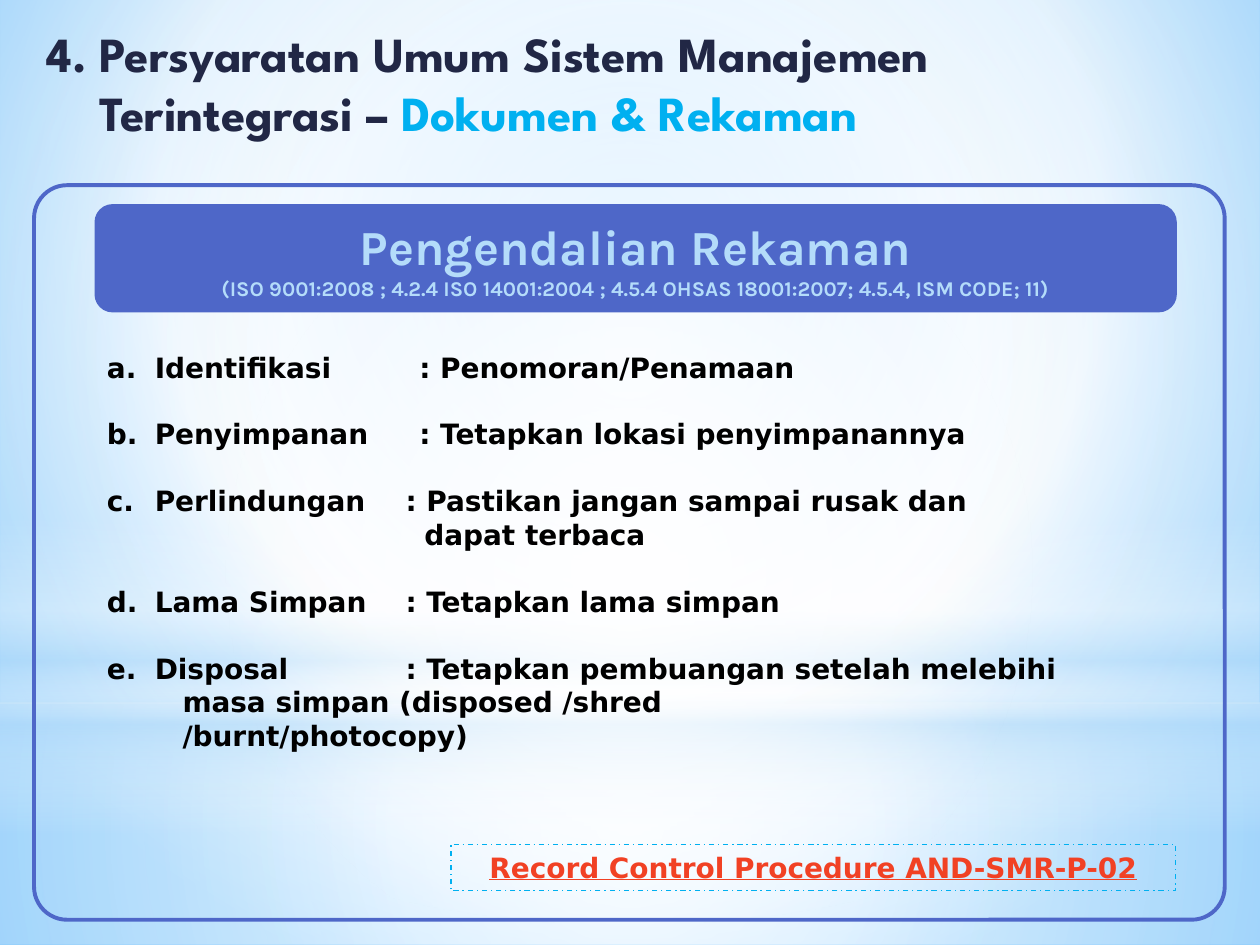
from lxml import etree
from pptx import Presentation
from pptx.dml.color import RGBColor
from pptx.enum.dml import MSO_LINE
from pptx.enum.shapes import MSO_SHAPE
from pptx.enum.text import MSO_ANCHOR, MSO_AUTO_SIZE, PP_ALIGN
from pptx.oxml.ns import qn
from pptx.util import Inches, Pt

RECT, OVAL, ROUNDED = MSO_SHAPE.RECTANGLE, MSO_SHAPE.OVAL, MSO_SHAPE.ROUNDED_RECTANGLE
CENTER, LEFT = PP_ALIGN.CENTER, PP_ALIGN.LEFT
TOP, MIDDLE = MSO_ANCHOR.TOP, MSO_ANCHOR.MIDDLE
DASH_DOT, NO_AUTOFIT = MSO_LINE.DASH_DOT, MSO_AUTO_SIZE.NONE
INDIGO, SKY, CYAN = "4E67C8", "B4DCFA", "00B0F0"
color = RGBColor.from_string


def set_gradient(owner, fill, stops, focus=None):
    """Stops are (position, colour, opacity) in percent; no focus means top to bottom."""
    fill.gradient()
    gradient = owner.element.find(".//" + qn("a:gradFill"))
    for child in list(gradient):
        gradient.remove(child)
    stop_list = etree.SubElement(gradient, qn("a:gsLst"))
    for position, hex_color, opacity in stops:
        stop = etree.SubElement(stop_list, qn("a:gs"), pos=str(position * 1000))
        tint = etree.SubElement(stop, qn("a:srgbClr"), val=hex_color)
        etree.SubElement(tint, qn("a:alpha"), val=str(opacity * 1000))
    if focus:
        circle = etree.SubElement(gradient, qn("a:path"), path="circle")
        sides = {side: str(part * 1000) for side, part in zip("ltrb", focus)}
        etree.SubElement(circle, qn("a:fillToRect"), **sides)
    else:
        etree.SubElement(gradient, qn("a:lin"), ang="5400000", scaled="0")


def style(target, font_name, size, hex_color):
    target.font.name = font_name
    target.font.size = Pt(size)
    target.font.bold = True
    target.font.color.rgb = color(hex_color)


deck = Presentation()
deck.slide_width, deck.slide_height = Inches(10), Inches(7.5)
slide = deck.slides.add_slide(deck.slide_layouts[5])
shapes = slide.shapes

# Backdrop
set_gradient(slide, slide.background.fill,
             [(0, "9ED5FF", 100), (60, "FFFFFF", 100), (100, "5BB9FF", 100)],
             (20, 10, 20, 60))
middle = (50, 50, 50, 50)
glows = [
    (RECT, 5.58, 1.92, middle, [(0, "FFFFFF", 91), (37, "FFFFFF", 76), (100, SKY, 79)]),
    (RECT, 0, 5.58, middle, [(0, "FFFFFF", 89), (48, "FFFFFF", 62), (100, SKY, 79)]),
    (RECT, 4.12, 2.5, None, [(0, "FFFFFF", 0), (29, "FFFFFF", 30), (45, SKY, 40),
                             (55, "FFFFFF", 26), (65, SKY, 60), (100, "FFFFFF", 0)]),
    (OVAL, 1.75, 5.58, middle, [(0, "FFFFFF", 100), (56, "FFFFFF", 0)]),
]
for kind, top, height, focus, stops in glows:
    glow = shapes.add_shape(kind, 0, Inches(top), Inches(10), Inches(height))
    glow.shadow.inherit = False
    glow.line.fill.background()
    set_gradient(glow, glow.fill, stops, focus)

# Title, brought in front of the backdrop
title = shapes.title
title.element.getparent().append(title.element)
title.left, title.top = Inches(0.27), Inches(0.14)
title.width, title.height = Inches(8.09), Inches(1.14)
frame = title.text_frame
frame.auto_size, frame.vertical_anchor, frame.word_wrap = NO_AUTOFIT, TOP, False
title_lines = [
    (-0.42, [("4.\tPersyaratan Umum Sistem Manajemen", "212745")]),
    (0, [("Terintegrasi – ", "212745"), ("Dokumen & Rekaman", CYAN)]),
]
for index, (indent, spans) in enumerate(title_lines):
    para = frame.add_paragraph() if index else frame.paragraphs[0]
    para.alignment = LEFT
    properties = para._p.get_or_add_pPr()
    properties.set("marL", str(Inches(0.42)))
    properties.set("indent", str(Inches(indent)))
    for text, hex_color in spans:
        span = para.add_run()
        span.text = text
        style(span, "League Spartan", 28, hex_color)

# Frame, banner and procedure reference
border = shapes.add_shape(ROUNDED, Inches(0.27), Inches(1.47), Inches(9.45), Inches(5.83))
border.adjustments[0] = 0.045
border.shadow.inherit = False
border.fill.background()
border.line.color.rgb = color(INDIGO)
border.line.width = Pt(2.25)

banner = shapes.add_shape(ROUNDED, Inches(0.75), Inches(1.62), Inches(8.59), Inches(0.86))
banner.shadow.inherit = False
banner.fill.solid()
banner.fill.fore_color.rgb = color(INDIGO)
banner.line.fill.background()
frame = banner.text_frame
frame.word_wrap, frame.vertical_anchor = False, MIDDLE
frame.text = ("Pengendalian Rekaman\n"
              "(ISO 9001:2008 ; 4.2.4 ISO 14001:2004 ; 4.5.4 "
              "OHSAS 18001:2007; 4.5.4, ISM CODE; 11)")
for para, size in zip(frame.paragraphs, (28, 12)):
    para.alignment = CENTER
    style(para, "Karla", size, SKY)

reference = shapes.add_textbox(Inches(3.58), Inches(6.7), Inches(5.75), Inches(0.37))
reference.line.color.rgb = color(CYAN)
reference.line.width = Pt(0.75)
reference.line.dash_style = DASH_DOT
reference.text_frame.word_wrap = True
para = reference.text_frame.paragraphs[0]
para.text = "Record Control Procedure AND-SMR-P-02"
para.alignment = CENTER
style(para, "DejaVu Sans", 16, "F14124")
para.font.underline = True

# Lettered list: label, tab position, requirement, further lines, their indent
controls = [
    ("Identifikasi", 2.48, "Penomoran/Penamaan", "", 0),
    ("Penyimpanan", 2.48, "Tetapkan lokasi penyimpanannya", "", 0),
    ("Perlindungan", 2.37, "Pastikan jangan sampai rusak dan", "dapat terbaca", 2.52),
    ("Lama Simpan", 2.37, "Tetapkan lama simpan", "", 0),
    ("Disposal", 2.37, "Tetapkan pembuangan setelah melebihi",
     "masa simpan (disposed /shred\v/burnt/photocopy)", 0.6),
]
box = shapes.add_textbox(Inches(0.75), Inches(2.73), Inches(8.59), Inches(3.82))
frame = box.text_frame
frame.word_wrap = True
for number, (label, tab, requirement, more, more_indent) in enumerate(controls, 1):
    para = frame.paragraphs[0] if number == 1 else frame.add_paragraph()
    para.text = f"{label}\t: {requirement}"
    properties = para._p.get_or_add_pPr()
    properties.set("marL", str(Inches(0.38)))
    properties.set("indent", str(Inches(-0.38)))
    etree.SubElement(properties, qn("a:buAutoNum"), type="alphaLcPeriod", startAt=str(number))
    tabs = etree.SubElement(properties, qn("a:tabLst"))
    etree.SubElement(tabs, qn("a:tab"), pos=str(Inches(tab)), algn="l")
    para.space_before = Pt(19 if number > 1 else 0)
    style(para, "DejaVu Sans", 16, "000000")
    if more:
        para = frame.add_paragraph()
        para.text = more
        para._p.get_or_add_pPr().set("marL", str(Inches(more_indent)))
        style(para, "DejaVu Sans", 16, "000000")

deck.save("out.pptx")
